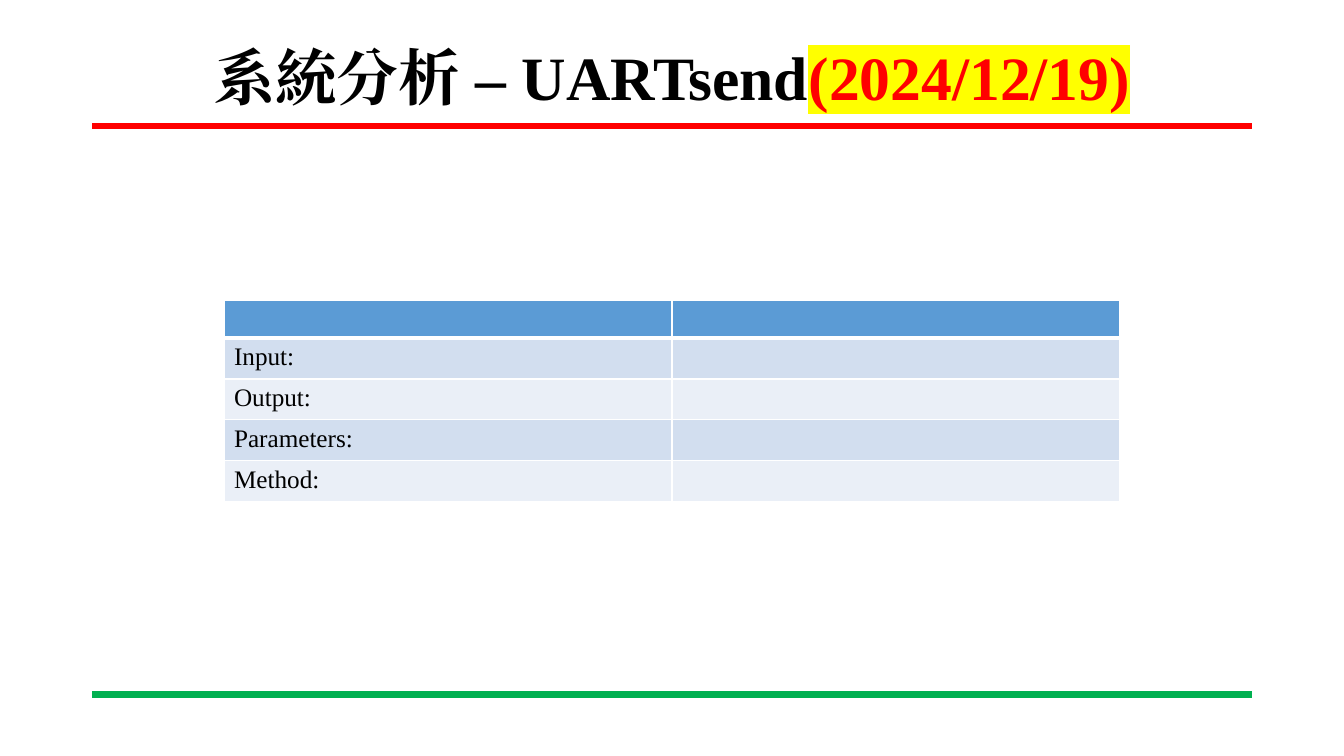
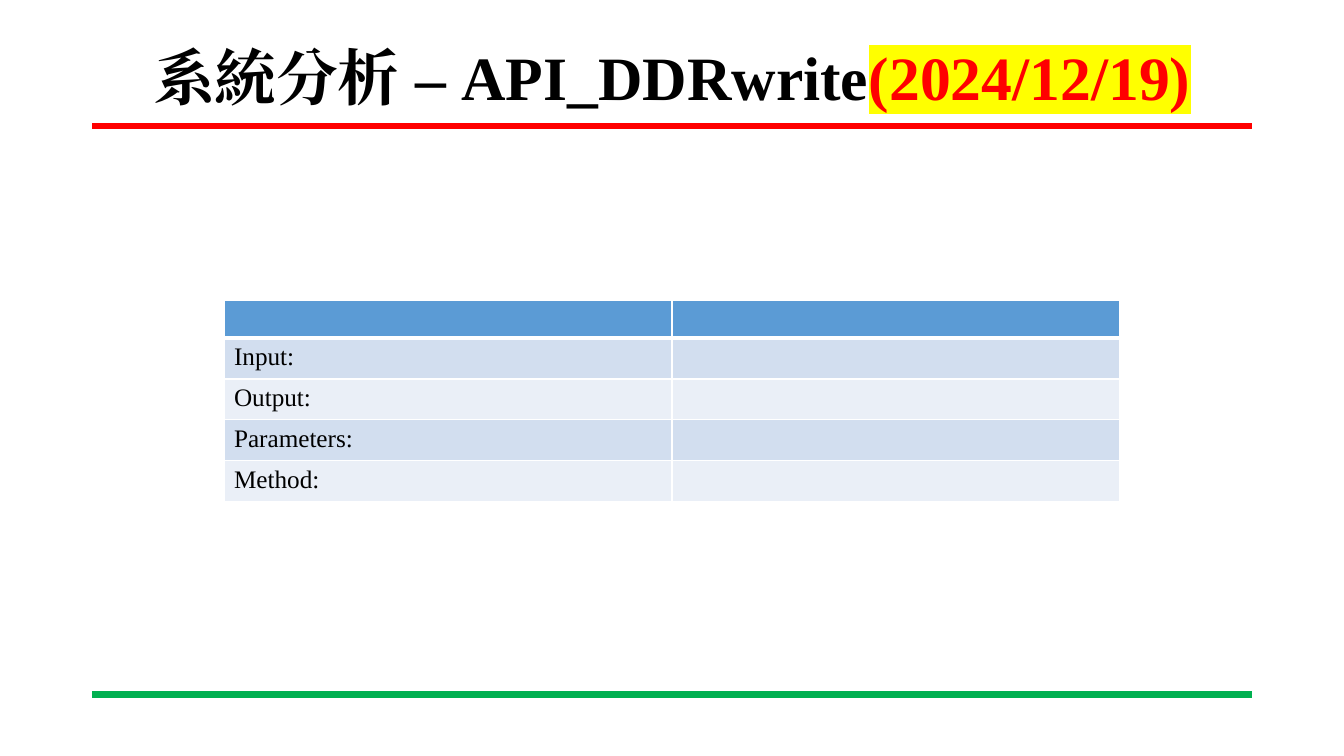
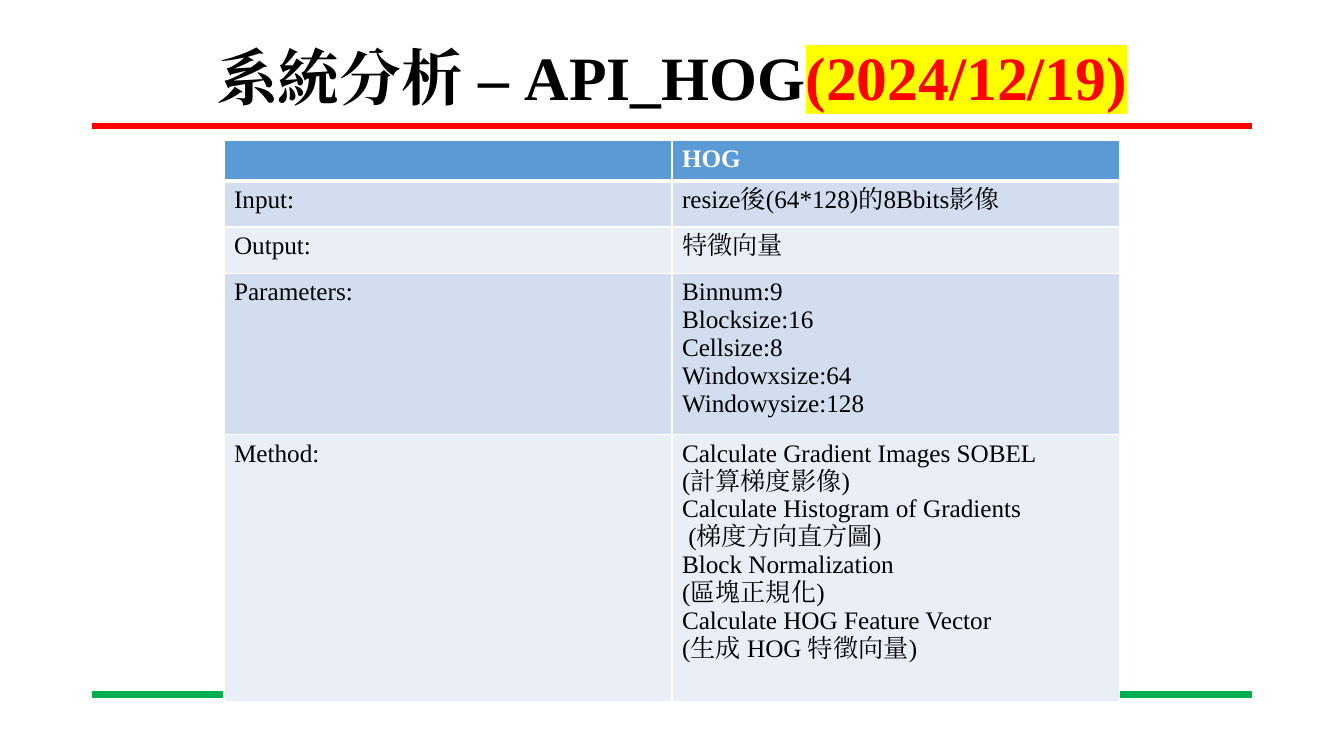
from lxml.etree import SubElement
from pptx import Presentation
from pptx.dml.color import RGBColor
from pptx.enum.shapes import MSO_CONNECTOR
from pptx.enum.text import MSO_ANCHOR, PP_ALIGN
from pptx.oxml.ns import qn
from pptx.util import Pt

BLACK = RGBColor(0x00, 0x00, 0x00)
WHITE = RGBColor(0xFF, 0xFF, 0xFF)
RED = RGBColor(0xFF, 0x00, 0x00)
GREEN = RGBColor(0x00, 0xB0, 0x50)
YELLOW = RGBColor(0xFF, 0xFF, 0x00)
BLUE = RGBColor(0x5B, 0x9B, 0xD5)
BANDS = (RGBColor(0xD2, 0xDE, 0xEF), RGBColor(0xEA, 0xEF, 0xF7))
FONT = "Times New Roman"
LEFT, WIDTH = 66, 828
DATE = "(2024/12/19)"
LABELS = ("Input:", "Output:", "Parameters:", "Method:")
EMPTY_VALUES = ("",) * 5
EMPTY_HEIGHTS = (27, 29.2, 29.2, 29.2, 29.2)
HOG_VALUES = (
    "HOG",
    "resize後(64*128)的8Bbits影像",
    "特徵向量",
    "Binnum:9\nBlocksize:16\nCellsize:8\nWindowxsize:64\nWindowysize:128",
    "Calculate Gradient Images SOBEL\n(計算梯度影像)\n"
    "Calculate Histogram of Gradients\n (梯度方向直方圖)\n"
    "Block Normalization\n(區塊正規化)\n"
    "Calculate HOG Feature Vector\n(生成 HOG 特徵向量)",
)
HOG_HEIGHTS = (29.2, 33, 33, 107, 191)


def add_color(parent, color):
    """Append an RGB colour element."""
    SubElement(parent, qn("a:srgbClr"), val=str(color))


def write(paragraph, text, size=18, color=BLACK, bold=False, highlight=None):
    """Append a formatted run to a paragraph."""
    run = paragraph.add_run()
    run.text = text
    run.font.size = Pt(size)
    run.font.bold = bold
    run.font.color.rgb = color
    properties = run._r.get_or_add_rPr()
    properties.set("lang", "zh-TW")
    if highlight is not None:
        add_color(SubElement(properties, qn("a:highlight")), highlight)
    for script in ("a:latin", "a:ea"):
        SubElement(properties, qn(script), typeface=FONT)


class Deck:
    """Presentation style and the slide being built."""

    def __init__(self):
        """Start a widescreen presentation."""
        self.presentation = Presentation()
        self.presentation.slide_width = Pt(960)
        self.presentation.slide_height = Pt(540)
        self.slide = None

    def new_slide(self, topic):
        """Add a slide with its two rules and its title."""
        self.slide = self.presentation.slides.add_slide(self.presentation.slide_layouts[6])
        self.rule(90, RED)
        self.rule(496, GREEN)
        self.title(topic)

    def rule(self, y, color):
        """Draw a horizontal rule between the margins."""
        rule = self.slide.shapes.add_connector(
            MSO_CONNECTOR.STRAIGHT, Pt(LEFT), Pt(y), Pt(LEFT + WIDTH), Pt(y))
        rule.line.color.rgb = color
        rule.line.width = Pt(4.5)
        SubElement(rule._element.spPr, qn("a:effectLst"))

    def title(self, topic):
        """Write the centred title with its highlighted date."""
        frame = self.slide.shapes.add_textbox(
            Pt(LEFT), Pt(28.8), Pt(WIDTH), Pt(57)).text_frame
        frame.word_wrap = True
        frame.vertical_anchor = MSO_ANCHOR.MIDDLE
        heading = frame.paragraphs[0]
        heading.alignment = PP_ALIGN.CENTER
        heading.line_spacing = 0.9
        write(heading, f"系統分析 – {topic}", size=44, bold=True)
        write(heading, DATE, size=44, bold=True, color=RED, highlight=YELLOW)

    def borders(self, cell, top, bottom):
        """Give a cell white borders."""
        properties = cell._tc.get_or_add_tcPr()
        for side, width in (("L", 1), ("R", 1), ("T", top), ("B", bottom)):
            line = SubElement(properties, qn(f"a:ln{side}"), w=str(Pt(width)))
            add_color(SubElement(line, qn("a:solidFill")), WHITE)

    def cell(self, cell, text, row):
        """Format and fill one table cell."""
        header = row == 0
        self.borders(cell, top=3 if row == 1 else 1, bottom=3 if header else 1)
        cell.fill.solid()
        cell.fill.fore_color.rgb = BLUE if header else BANDS[(row - 1) % 2]
        if not text:
            cell.margin_top = cell.margin_bottom = Pt(0)
            return
        for index, line in enumerate(text.split("\n")):
            frame = cell.text_frame
            paragraph = frame.add_paragraph() if index else frame.paragraphs[0]
            write(paragraph, line, color=WHITE if header else BLACK, bold=header)

    def specification(self, top, values, heights):
        """Add the table of labels and values."""
        table = self.slide.shapes.add_table(
            len(values), 2, Pt(160), Pt(top), Pt(640), Pt(sum(heights))).table
        for row, texts in enumerate(zip(("",) + LABELS, values)):
            table.rows[row].height = Pt(heights[row])
            for column, text in enumerate(texts):
                self.cell(table.cell(row, column), text, row)


def main():
    """Build the three analysis slides."""
    deck = Deck()
    for topic, top, values, heights in (
        ("UARTsend", 214.5, EMPTY_VALUES, EMPTY_HEIGHTS),
        ("API_DDRwrite", 214.5, EMPTY_VALUES, EMPTY_HEIGHTS),
        ("API_HOG", 100, HOG_VALUES, HOG_HEIGHTS),
    ):
        deck.new_slide(topic)
        deck.specification(top, values, heights)
    deck.presentation.save("out.pptx")


if __name__ == "__main__":
    main()
